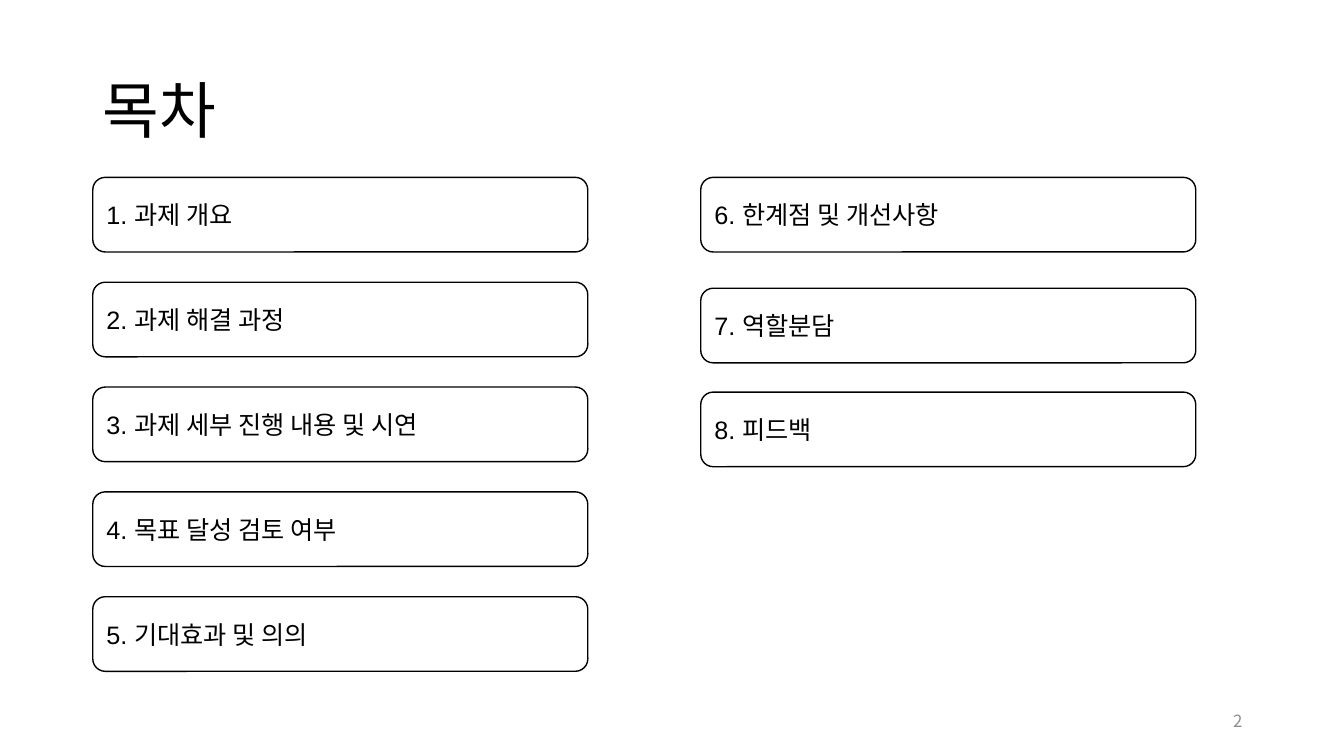
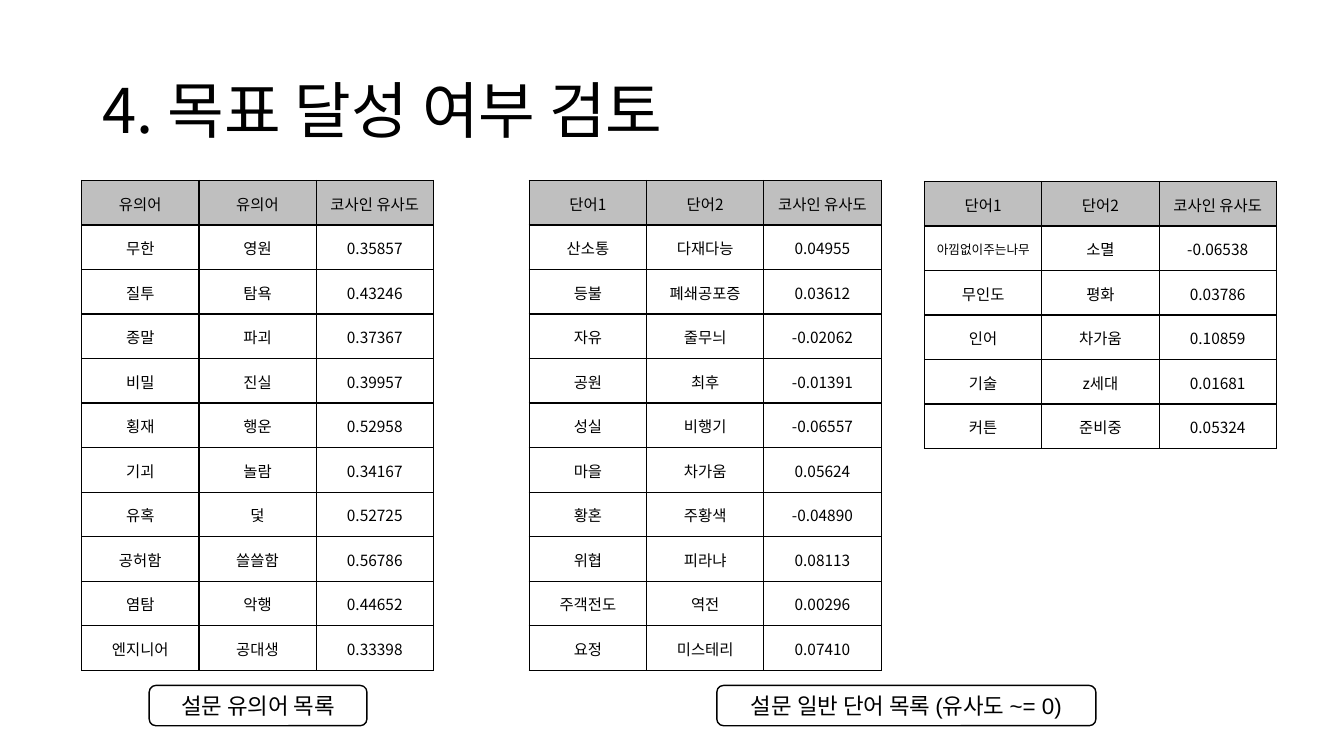
from dataclasses import dataclass

from lxml.etree import SubElement
from pptx import Presentation
from pptx.dml.color import RGBColor
from pptx.enum.shapes import MSO_SHAPE
from pptx.enum.text import MSO_ANCHOR, PP_ALIGN
from pptx.oxml import parse_xml
from pptx.oxml.ns import nsdecls, qn
from pptx.util import Inches, Pt


@dataclass(frozen=True)
class Theme:
    ink: str = "000000"
    paper: str = "FFFFFF"
    header: str = "BFBFBF"
    muted: str = "8C8C8C"
    korean: str = "Noto Sans CJK KR"
    latin: str = "Arial"
    title: int = 44
    item: int = 18
    caption: int = 16
    page: int = 12
    cell: int = 11
    small_cell: int = 9
    line: int = 1


T = Theme()
SLIDE_W, SLIDE_H = 13.33, 7.5
MARGIN = 0.92

AGENDA_LEFT = [
    "1. 과제 개요",
    "2. 과제 해결 과정",
    "3. 과제 세부 진행 내용 및 시연",
    "4. 목표 달성 검토 여부",
    "5. 기대효과 및 의의",
]
AGENDA_RIGHT = ["6. 한계점 및 개선사항", "7. 역할분담", "8. 피드백"]
ITEM_W, ITEM_H, ITEM_TOP, ITEM_STEP = 4.91, 0.74, 1.76, 1.04
RIGHT_X, RIGHT_TOPS = 6.95, (ITEM_TOP, 2.86, 3.89)

SYNONYMS = [
    ("유의어", "유의어", "코사인 유사도"),
    ("무한", "영원", "0.35857"),
    ("질투", "탐욕", "0.43246"),
    ("종말", "파괴", "0.37367"),
    ("비밀", "진실", "0.39957"),
    ("횡재", "행운", "0.52958"),
    ("기괴", "놀람", "0.34167"),
    ("유혹", "덫", "0.52725"),
    ("공허함", "쓸쓸함", "0.56786"),
    ("염탐", "악행", "0.44652"),
    ("엔지니어", "공대생", "0.33398"),
]
WORD_HEADER = ("단어1", "단어2", "코사인 유사도")
WORDS = [
    WORD_HEADER,
    ("산소통", "다재다능", "0.04955"),
    ("등불", "폐쇄공포증", "0.03612"),
    ("자유", "줄무늬", "-0.02062"),
    ("공원", "최후", "-0.01391"),
    ("성실", "비행기", "-0.06557"),
    ("마을", "차가움", "0.05624"),
    ("황혼", "주황색", "-0.04890"),
    ("위협", "피라냐", "0.08113"),
    ("주객전도", "역전", "0.00296"),
    ("요정", "미스테리", "0.07410"),
]
MORE_WORDS = [
    WORD_HEADER,
    ("아낌없이주는나무", "소멸", "-0.06538"),
    ("무인도", "평화", "0.03786"),
    ("인어", "차가움", "0.10859"),
    ("기술", "z세대", "0.01681"),
    ("커튼", "준비중", "0.05324"),
]
TABLES = [(0.81, 1.79, SYNONYMS), (5.25, 1.79, WORDS), (9.17, 1.8, MORE_WORDS)]
TABLE_W, ROW_H = 3.49, 4.86 / len(SYNONYMS)
LONG_WORD = 7  # words longer than this take the small cell size
CAPTION_TOP, CAPTION_H = 6.8, 0.4
CAPTIONS = [
    (1.48, 2.16, "설문 유의어 목록"),
    (7.11, 3.76, "설문 일반 단어 목록 (유사도 ~= 0)"),
]


def rgb(color):
    return RGBColor.from_string(color)


def write(tf, text, size, font=T.korean, color=T.ink, align=PP_ALIGN.LEFT, spacing=None):
    p = tf.paragraphs[0]
    p.alignment = align
    if spacing:
        p.line_spacing = spacing
    r = p.add_run()
    r.text = text
    r.font.size = Pt(size)
    r.font.name = font
    r.font.color.rgb = rgb(color)
    SubElement(r.font._element, qn("a:ea")).set("typeface", T.korean)


def add_text(slide, box, text, **fmt):
    tf = slide.shapes.add_textbox(*map(Inches, box)).text_frame
    tf.word_wrap = True
    tf.vertical_anchor = MSO_ANCHOR.MIDDLE
    write(tf, text, **fmt)


def add_title(slide, text):
    add_text(slide, (MARGIN, 0.4, 11.5, 1.45), text, size=T.title, spacing=0.9)


def add_box(slide, box, text, **fmt):
    sp = slide.shapes.add_shape(MSO_SHAPE.ROUNDED_RECTANGLE, *map(Inches, box))
    sp.shadow.inherit = False
    sp.fill.solid()
    sp.fill.fore_color.rgb = rgb(T.paper)
    sp.line.color.rgb = rgb(T.ink)
    sp.line.width = Pt(T.line)
    sp.text_frame.word_wrap = True
    sp.text_frame.vertical_anchor = MSO_ANCHOR.MIDDLE
    write(sp.text_frame, text, font=T.latin, **fmt)


def add_borders(cell):
    tc_pr = cell._tc.get_or_add_tcPr()
    for i, side in enumerate("LRTB"):
        tc_pr.insert(i, parse_xml(
            f'<a:ln{side} {nsdecls("a")} w="{Pt(T.line)}"><a:solidFill>'
            f'<a:srgbClr val="{T.ink}"/></a:solidFill></a:ln{side}>'))


def add_word_table(slide, left, top, rows):
    n_cols = len(rows[0])
    frame = slide.shapes.add_table(
        len(rows), n_cols, Inches(left), Inches(top),
        Inches(TABLE_W), Inches(ROW_H * len(rows)))
    table = frame.table
    table.first_row = table.horz_banding = False
    for col in table.columns:
        col.width = Inches(TABLE_W / n_cols)
    for i, row in enumerate(rows):
        table.rows[i].height = Inches(ROW_H)
        for j, text in enumerate(row):
            cell = table.cell(i, j)
            cell.margin_left = cell.margin_right = cell.margin_top = Inches(0.01)
            cell.margin_bottom = 0
            cell.vertical_anchor = MSO_ANCHOR.MIDDLE
            cell.fill.solid()
            cell.fill.fore_color.rgb = rgb(T.paper if i else T.header)
            add_borders(cell)
            is_long = i > 0 and j < n_cols - 1 and len(text) > LONG_WORD
            write(cell.text_frame, text, T.small_cell if is_long else T.cell,
                  align=PP_ALIGN.CENTER)


def build_agenda(slide):
    add_title(slide, "목차")
    add_text(slide, (9.42, 6.95, 3, 0.4), "2", size=T.page, color=T.muted,
             align=PP_ALIGN.RIGHT)
    left_tops = [ITEM_TOP + i * ITEM_STEP for i in range(len(AGENDA_LEFT))]
    for x, tops, items in ((MARGIN, left_tops, AGENDA_LEFT),
                           (RIGHT_X, RIGHT_TOPS, AGENDA_RIGHT)):
        for y, text in zip(tops, items):
            add_box(slide, (x, y, ITEM_W, ITEM_H), text, size=T.item)


def build_review(slide):
    add_title(slide, "4. 목표 달성 여부 검토")
    for left, top, rows in TABLES:
        add_word_table(slide, left, top, rows)
    for left, width, text in CAPTIONS:
        add_box(slide, (left, CAPTION_TOP, width, CAPTION_H), text,
                size=T.caption, align=PP_ALIGN.CENTER)


def main():
    prs = Presentation()
    prs.slide_width, prs.slide_height = Inches(SLIDE_W), Inches(SLIDE_H)
    blank = prs.slide_layouts[6]
    for build in (build_agenda, build_review):
        build(prs.slides.add_slide(blank))
    prs.save("out.pptx")


if __name__ == "__main__":
    main()
